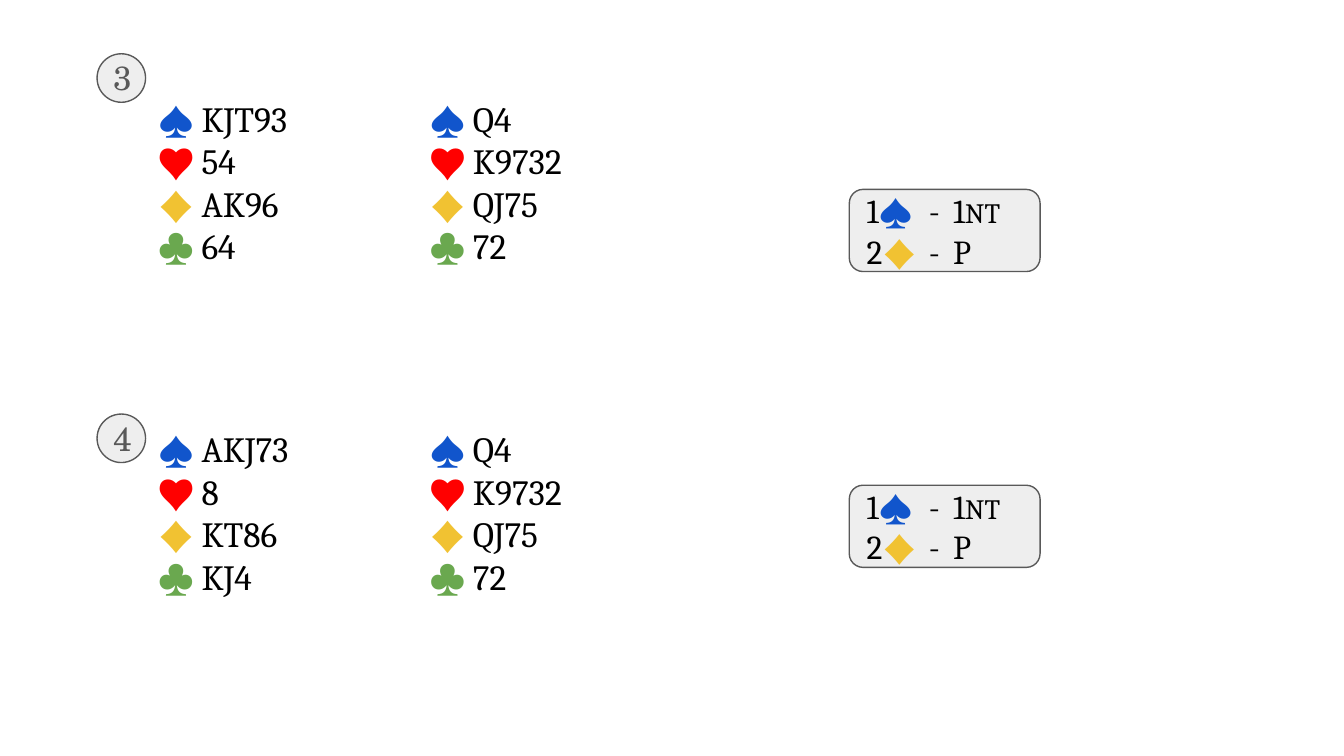
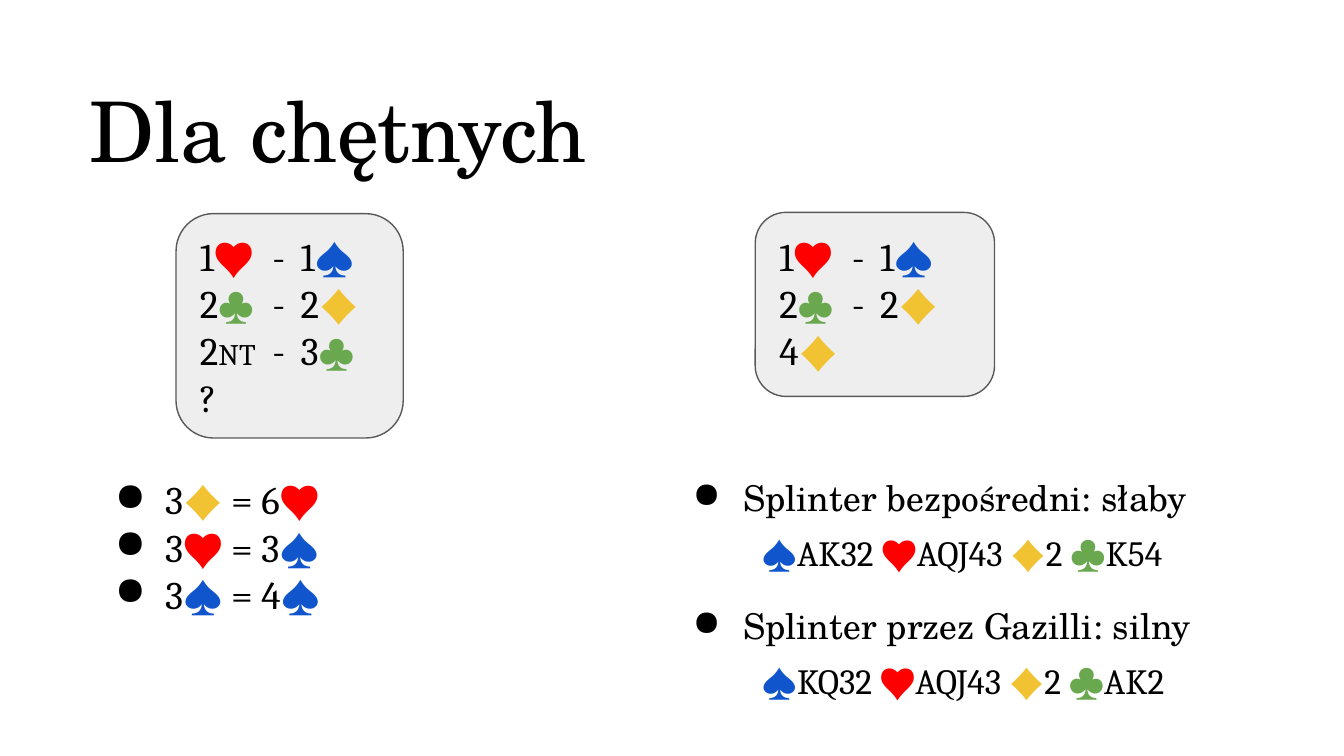
from dataclasses import dataclass, field
from itertools import groupby

from lxml.etree import SubElement
from pptx import Presentation
from pptx.dml.color import RGBColor
from pptx.enum.shapes import MSO_SHAPE
from pptx.enum.text import MSO_ANCHOR, MSO_AUTO_SIZE
from pptx.oxml.ns import qn
from pptx.util import Pt


@dataclass(frozen=True)
class Theme:
    ink: str = "000000"
    pad: str = "EEEEEE"
    edge: str = "595959"
    suits: dict = field(default_factory=lambda: {
        "♠": "1155CC", "♥": "FF0000", "♦": "F1C232", "♣": "6AA84F"})
    card: str = "Cambria"
    serif: str = "TeX Gyre Schola"
    title: float = 44.8
    large: int = 21
    hand: int = 19
    small: int = 18
    inset: float = 7.2
    pitch: float = 1.2
    stops: tuple = (1.85, 2.57)


def rgb(hue):
    return RGBColor.from_string(hue)


def write(para, text, size, font, color, suits, odd):
    """Add runs to a paragraph; suit signs get their colour, odd maps signs to sizes."""
    def style(sign):
        return suits.get(sign, color), odd.get(sign, size)

    for (hue, points), signs in groupby(text, style):
        run = para.add_run()
        run.text = "".join(signs)
        run.font.size = Pt(points)
        run.font.name = font
        run.font.color.rgb = rgb(hue)
        for tag in ("a:ea", "a:cs", "a:sym"):
            SubElement(run.font._element, qn(tag), typeface=font)


def add_dot(para, hue):
    props = para._p.get_or_add_pPr()
    props.set("marL", str(Pt(36)))
    props.set("indent", str(Pt(-27)))
    SubElement(SubElement(props, qn("a:buClr")), qn("a:srgbClr"), val=hue)
    SubElement(props, qn("a:buChar"), char="●")


def add_tabs(para, stops):
    tabs = SubElement(para._p.get_or_add_pPr(), qn("a:tabLst"))
    for stop in stops:
        SubElement(tabs, qn("a:tab"), pos=str(Pt(stop)), algn="l")


class Deck:
    def __init__(self, theme):
        self.theme = theme
        self.show = Presentation()
        self.show.slide_width, self.show.slide_height = Pt(720), Pt(405)
        self.slide = None

    def page(self):
        self.slide = self.show.slides.add_slide(self.show.slide_layouts[6])

    def shape(self, kind, *area):
        item = self.slide.shapes.add_shape(kind, *map(Pt, area))
        item.shadow.inherit = False
        item.fill.solid()
        item.fill.fore_color.rgb = rgb(self.theme.pad)
        item.line.color.rgb = rgb(self.theme.edge)
        item.line.width = Pt(0.75)

    def pad(self, *area):
        self.shape(MSO_SHAPE.ROUNDED_RECTANGLE, *area)

    def text(self, lines, left, top, width, size=None, font=None, color=None,
             odd=None, dots=False, tabs=False, gap=0):
        look = self.theme
        size = size or look.hand
        count = len(lines)
        high = count * size * look.pitch + (count - 1) * gap + 2 * look.inset
        box = self.slide.shapes.add_textbox(*map(Pt, (left, top, width, high)))
        frame = box.text_frame
        frame.word_wrap = True
        frame.auto_size = MSO_AUTO_SIZE.SHAPE_TO_FIT_TEXT
        frame.vertical_anchor = MSO_ANCHOR.TOP
        frame.margin_left = frame.margin_right = Pt(look.inset)
        frame.margin_top = frame.margin_bottom = Pt(look.inset)
        for rank, line in enumerate(lines):
            para = frame.add_paragraph() if rank else frame.paragraphs[0]
            if rank and gap:
                para.space_before = Pt(gap)
            if dots:
                add_dot(para, look.ink)
            if tabs:
                add_tabs(para, [size * stop for stop in look.stops])
            write(para, line, size, font or look.card, color or look.ink,
                  look.suits, odd or {})

    def badge(self, label, top):
        look = self.theme
        self.shape(MSO_SHAPE.OVAL, 52, top, 26, 26)
        self.text([label], 54, top - 5.3, 21.6, size=look.small,
                  font=look.serif, color=look.edge)

    def hand(self, cards, left, top):
        lines = [f"{suit} {held}" for suit, held in zip(self.theme.suits, cards.split())]
        self.text(lines, left, top, 111)

    def calls(self, lines, left, top, size, odd):
        """Write an auction, its columns set by tab stops."""
        self.text(lines, left, top, 121.7, size=size, odd=odd, tabs=True)

    def save(self):
        self.show.save("out.pptx")


def add_deals(deck):
    deck.page()
    east = "Q4 K9732 QJ75 72"
    deals = [("3", "KJT93 54 AK96 64", 28.8, 44.6, 101.5),
             ("4", "AKJ73 8 KT86 KJ4", 221.8, 221.8, 260)]
    for label, west, mark, top, bid in deals:
        deck.pad(455, bid, 102.2, 44)
        deck.hand(west, 77.8, top)
        deck.hand(east, 223.2, top)
        deck.calls(["1♠\t-\t1NT", "2♦\t-\tP"], 457.2, bid - 6.8,
                   deck.theme.small, {"N": 15, "T": 15})
        deck.badge(label, mark)


def add_extra(deck):
    deck.page()
    look = deck.theme
    deck.text(["Dla chętnych"], 41, 35.3, 360, size=look.title, font=look.serif)
    start = ["1♥\t-\t1♠", "2♣\t-\t2♦"]
    bids = [((94.3, 114.5, 121.7, 120.2), 100, ["2NT\t-\t3♣", "?"]),
            ((404.6, 113.8, 128.2, 98.6), 410.4, ["4♦"])]
    for area, left, rest in bids:
        deck.pad(*area)
        deck.calls(start + rest, left, 117.4, look.large,
                   {"N": 16, "T": 16, "♣": look.hand})
    deck.text(["3♦ = 6♥", "3♥ = 3♠", "3♠ = 4♠"], 45.4, 247.7, 320.4,
              size=look.large, dots=True)
    deck.text(["Splinter bezpośredni: słaby", "Splinter przez Gazilli: silny"],
              355, 247.7, 354.2, font=look.serif, dots=True, gap=46)
    deck.text(["♠AK32 ♥AQJ43 ♦2 ♣K54", "♠KQ32 ♥AQJ43 ♦2 ♣AK2"],
              401, 277.2, 284.4, gap=46)


def main():
    deck = Deck(Theme())
    add_deals(deck)
    add_extra(deck)
    deck.save()


if __name__ == "__main__":
    main()
